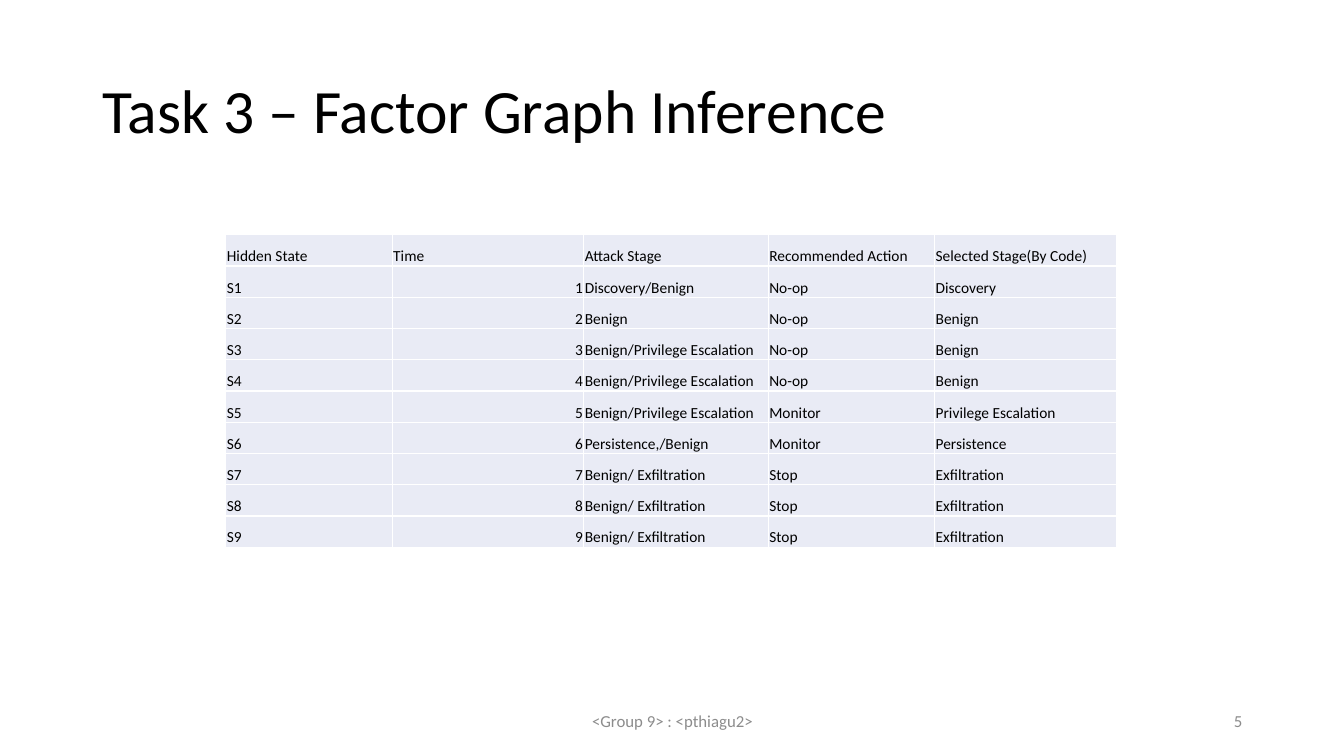
from dataclasses import dataclass

from lxml import etree
from pptx import Presentation
from pptx.dml.color import RGBColor
from pptx.enum.text import MSO_ANCHOR, PP_ALIGN
from pptx.oxml.ns import qn
from pptx.util import Inches, Pt

LEFT, CENTER, RIGHT = PP_ALIGN.LEFT, PP_ALIGN.CENTER, PP_ALIGN.RIGHT
MIDDLE, BOTTOM = MSO_ANCHOR.MIDDLE, MSO_ANCHOR.BOTTOM


@dataclass(frozen=True)
class Theme:
    font: str = "Calibri"
    ink: str = "000000"
    muted: str = "8C8C8C"
    band: str = "E9EBF5"
    rule: str = "FFFFFF"
    title: int = 44
    body: int = 11
    foot: int = 12


class Deck:
    def __init__(self, theme, slide):
        self.theme = theme
        self.slide = slide

    def style(self, para, size, color, align=LEFT):
        para.alignment = align
        para.font.name = self.theme.font
        para.font.size = Pt(size)
        para.font.color.rgb = RGBColor.from_string(color)

    def text(self, words, box, size, color, align=LEFT, leading=1.0):
        frame = self.slide.shapes.add_textbox(*map(Inches, box)).text_frame
        frame.word_wrap = True
        frame.vertical_anchor = MIDDLE
        frame.text = words
        para = frame.paragraphs[0]
        para.line_spacing = leading
        self.style(para, size, color, align)

    def border(self, cell):
        props = cell._tc.get_or_add_tcPr()
        for side in ("lnL", "lnR", "lnT", "lnB"):
            line = etree.SubElement(props, qn("a:" + side), w=str(Pt(1)))
            fill = etree.SubElement(line, qn("a:solidFill"))
            etree.SubElement(fill, qn("a:srgbClr"), val=self.theme.rule)

    def cell(self, cell, words, align):
        cell.margin_left = cell.margin_right = cell.margin_top = Inches(0.01)
        cell.margin_bottom = 0
        cell.vertical_anchor = BOTTOM
        cell.text = words
        self.style(cell.text_frame.paragraphs[0], self.theme.body,
                   self.theme.ink, align)
        self.border(cell)
        cell.fill.solid()
        cell.fill.fore_color.rgb = RGBColor.from_string(self.theme.band)

    def table(self, rows, left, top, widths, height):
        table = self.slide.shapes.add_table(
            len(rows), len(widths), Inches(left), Inches(top),
            Inches(sum(widths)), Inches(height * len(rows))).table
        table.first_row = table.horz_banding = False
        for col, width in zip(table.columns, widths):
            col.width = Inches(width)
        for row, words in zip(table.rows, rows):
            row.height = Inches(height)
            for cell, word in zip(row.cells, words):
                self.cell(cell, word, RIGHT if word.isdigit() else LEFT)


HEAD = ("Hidden State", "Time", "Attack Stage", "Recommended Action",
        "Selected Stage(By Code)")
STAGES = [
    ("Discovery/Benign", "No-op", "Discovery"),
    ("Benign", "No-op", "Benign"),
    *[("Benign/Privilege Escalation", "No-op", "Benign")] * 2,
    ("Benign/Privilege Escalation", "Monitor", "Privilege Escalation"),
    ("Persistence,/Benign", "Monitor", "Persistence"),
    *[("Benign/ Exfiltration", "Stop", "Exfiltration")] * 3,
]

show = Presentation()
show.slide_width, show.slide_height = Inches(13.33), Inches(7.5)
theme = Theme()
deck = Deck(theme, show.slides.add_slide(show.slide_layouts[6]))

deck.text("Task 3 – Factor Graph Inference", (0.92, 0.4, 11.5, 1.45),
          theme.title, theme.ink, leading=0.9)
rows = [HEAD] + [(f"S{time}", str(time), *stage)
                 for time, stage in enumerate(STAGES, 1)]
deck.table(rows, 2.24, 2.33, (1.65, 1.9, 1.83, 1.65, 1.8), 0.31)
deck.text("<Group 9> : <pthiagu2>", (4.42, 6.95, 4.5, 0.4),
          theme.foot, theme.muted, CENTER)
deck.text("5", (9.42, 6.95, 3, 0.4), theme.foot, theme.muted, RIGHT)

show.save("out.pptx")
